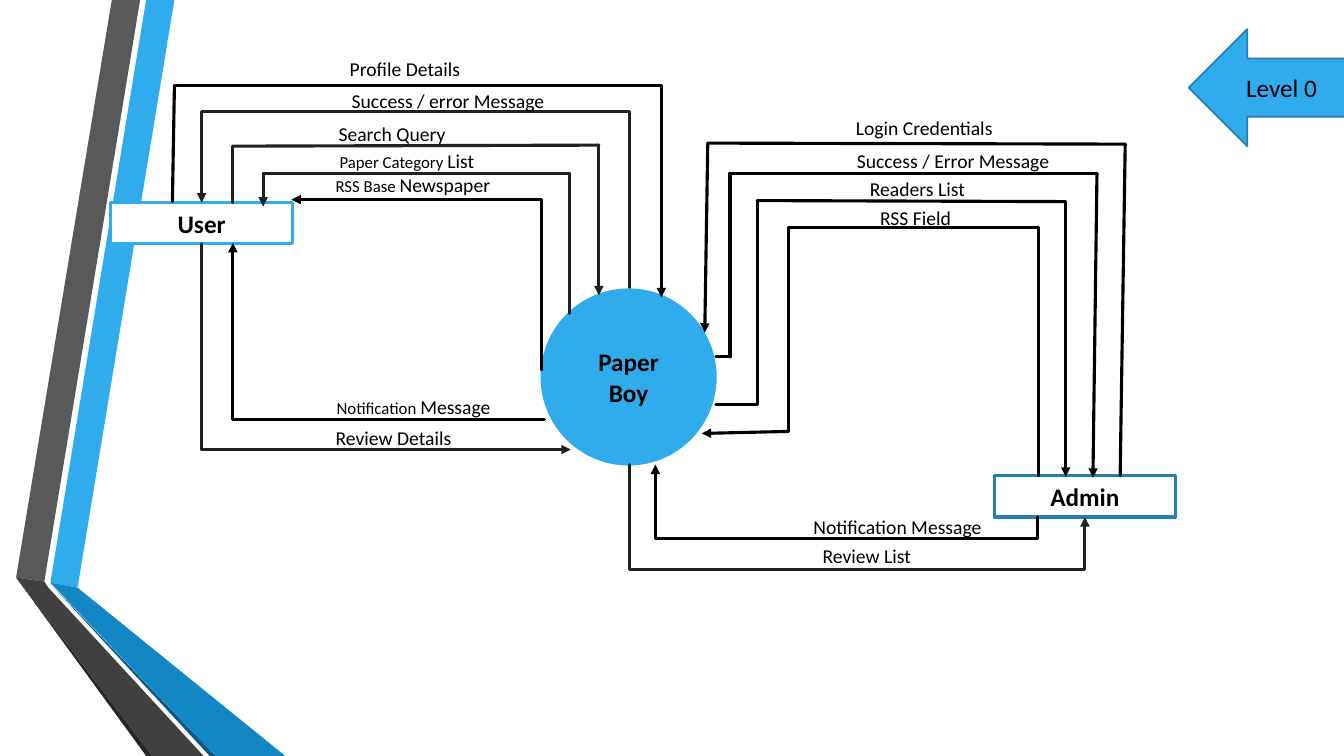
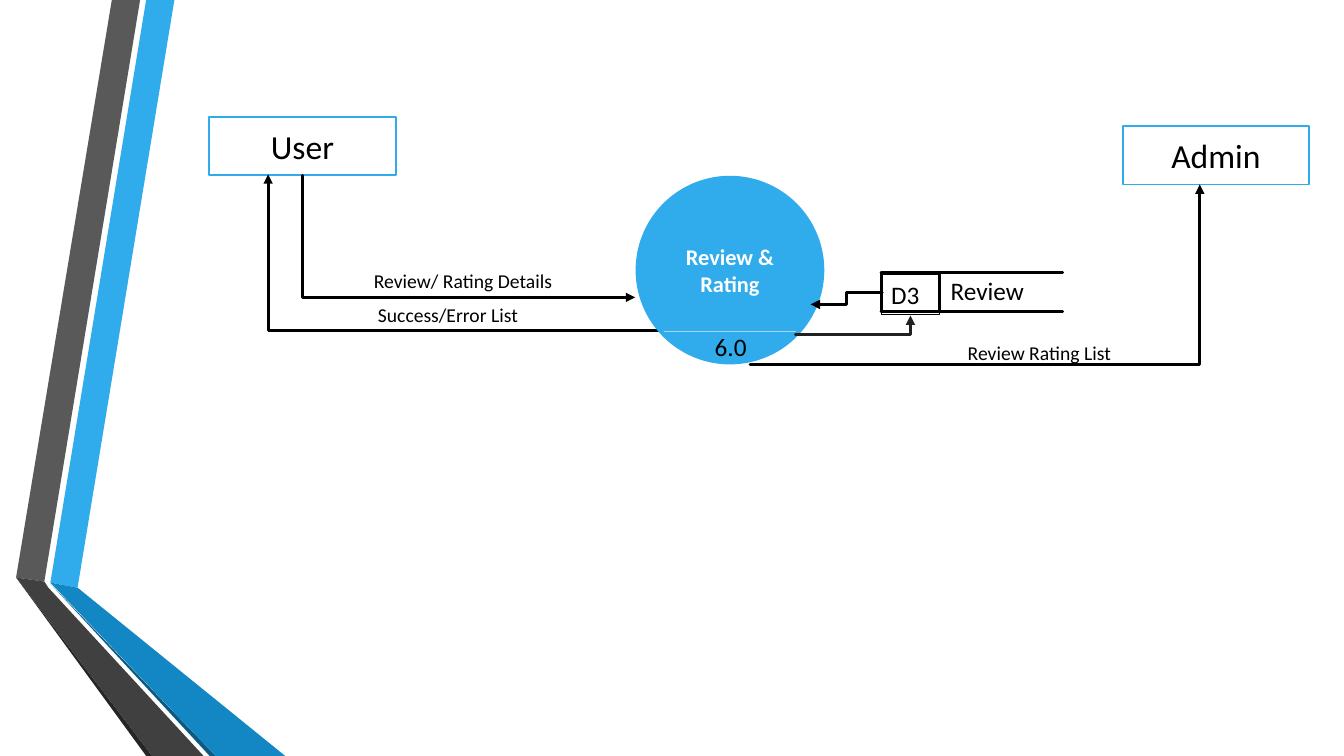
from dataclasses import dataclass
from itertools import pairwise
from typing import Any

from pptx import Presentation
from pptx import util as u
from pptx.dml.color import RGBColor
from pptx.enum import shapes, text
from pptx.oxml.ns import qn
from lxml import etree

FONT = "Calibri"
COLOURS = {
    "sky": "30ACEC", "blue": "1287C3", "navy": "0C5A82", "border": "247FAF",
    "pale": "AED2F4", "grey": "595959", "dark_grey": "404040",
    "shade": "262626", "soft": "212121", "black": "000000", "white": "FFFFFF",
}
# Folded ribbons at the left edge, back to front
RIBBONS = [
    ("sky", [(0.5, 5.78), (0.77, 5.83), (1.73, 0), (1.45, 0)]),
    ("grey", [(1.39, 0), (1.11, 0), (0.16, 5.73), (0.44, 5.77)]),
    ("shade", [(0.16, 5.73), (1.45, 7.5), (1.51, 7.5)]),
    ("navy", [(0.5, 5.79), (2.08, 7.5), (2.14, 7.5)]),
    ("blue", [(0.5, 5.78), (2.14, 7.5), (2.83, 7.5), (0.77, 5.83)]),
    ("dark_grey", [(2.02, 7.5), (0.48, 5.83), (0.44, 5.77), (0.16, 5.73), (1.51, 7.5)]),
]


def colour(name):
    return RGBColor.from_string(COLOURS[name])


def style_line(connector, line_colour, width, arrow):
    """Give a connector its stroke, round ends and optional arrowhead."""
    connector.line.color.rgb = colour(line_colour)
    connector.line.width = u.Pt(width)
    properties = connector._element.spPr
    stroke = properties.find(qn("a:ln"))
    stroke.set("cap", "rnd")
    if arrow:
        etree.SubElement(stroke, qn("a:tailEnd"), type="triangle")
    etree.SubElement(properties, qn("a:effectLst"))


@dataclass
class Region:
    """Part of a slide; every position is relative to its top left corner."""
    slide: Any
    left: float
    top: float

    def place(self, x, y):
        return u.Inches(self.left + x), u.Inches(self.top + y)

    def fill_text(self, frame, runs, font_colour="black", bold=False, align=None):
        paragraph = frame.paragraphs[0]
        paragraph.alignment = align
        for words, size in runs:
            run = paragraph.add_run()
            run.text = words
            run.font.name = FONT
            run.font.size = u.Pt(size)
            run.font.bold = bold
            run.font.color.rgb = colour(font_colour)

    def node(self, kind, box, words="", size=18, fill="white", line="sky",
             line_width=1.25, font_colour="black", bold=False):
        x, y, width, height = box
        shape = self.slide.shapes.add_shape(
            kind, *self.place(x, y), u.Inches(width), u.Inches(height))
        shape.shadow.inherit = False
        if fill:
            shape.fill.solid()
            shape.fill.fore_color.rgb = colour(fill)
        else:
            shape.fill.background()
        shape.line.color.rgb = colour(line)
        shape.line.width = u.Pt(line_width)
        if words:
            shape.text_frame.word_wrap = True
            shape.text_frame.vertical_anchor = text.MSO_ANCHOR.MIDDLE
            self.fill_text(shape.text_frame, [(words, size)], font_colour, bold,
                           text.PP_ALIGN.CENTER)
        return shape

    def label(self, x, y, *runs, width=2.4, height=0.34):
        box = self.slide.shapes.add_textbox(
            *self.place(x, y), u.Inches(width), u.Inches(height))
        box.text_frame.word_wrap = True
        self.fill_text(box.text_frame, runs)
        return box

    def route(self, points, line_colour="black", width=2.25, arrow=True):
        """Straight connectors through the points, arrow on the last one."""
        for start, end in pairwise(points):
            connector = self.slide.shapes.add_connector(
                shapes.MSO_CONNECTOR.STRAIGHT, *self.place(*start), *self.place(*end))
            style_line(connector, line_colour, width, arrow and end == points[-1])

    def elbow(self, start, end, line_colour="black", bend=None, vertical=False):
        """Bent arrow: one corner, or two when bend gives the turning share."""
        connector = self.slide.shapes.add_connector(
            shapes.MSO_CONNECTOR.ELBOW, *self.place(*start), *self.place(*end))
        properties = connector._element.spPr
        geometry = properties.find(qn("a:prstGeom"))
        if bend is None:
            geometry.set("prst", "bentConnector2")
        else:
            guides = geometry.find(qn("a:avLst"))
            if guides is None:
                guides = etree.SubElement(geometry, qn("a:avLst"))
            etree.SubElement(guides, qn("a:gd"), name="adj1",
                             fmla=f"val {round(bend * 100000)}")
        if vertical:
            # A quarter turn makes the first leg run up or down
            across, down = end[0] - start[0], end[1] - start[1]
            middle_x, middle_y = (start[0] + end[0]) / 2, (start[1] + end[1]) / 2
            connector.left, connector.top = self.place(
                middle_x - abs(down) / 2, middle_y - abs(across) / 2)
            connector.width, connector.height = u.Inches(abs(down)), u.Inches(abs(across))
            transform = properties.find(qn("a:xfrm"))
            transform.set("rot", str(270 * 60000))
            transform.set("flipH", str(int(down > 0)))
            transform.set("flipV", str(int(across < 0)))
        style_line(connector, line_colour, 2.25, True)


def add_ribbons(region):
    for fill, points in RIBBONS:
        corners = [region.place(*point) for point in points]
        builder = region.slide.shapes.build_freeform(*corners[0])
        builder.add_line_segments(corners[1:], close=True)
        ribbon = builder.convert_to_shape()
        ribbon.shadow.inherit = False
        ribbon.fill.solid()
        ribbon.fill.fore_color.rgb = colour(fill)
        ribbon.line.fill.background()


def add_flows(region, flows):
    """Each flow has a colour, its corner points, a label place and label runs."""
    for line_colour, points, position, runs in flows:
        region.route(points, line_colour)
        region.label(*position, *runs)


def user_flows(region):
    region.node(shapes.MSO_SHAPE.OVAL, (4.37, 2.37, 1.73, 1.74), "Paper Boy",
                fill="sky", bold=True)
    region.node(shapes.MSO_SHAPE.RECTANGLE, (0.1, 1.51, 1.8, 0.41), "User",
                line_width=2.25, bold=True)
    add_flows(region, [
        ("black", [(0.71, 1.5), (0.73, 0.35), (5.56, 0.35), (5.56, 2.45)],
         (2.37, 0.02), [("Profile Details", 14)]),
        ("soft", [(5.24, 2.35), (5.24, 0.61), (1, 0.61), (1, 1.51)],
         (2.39, 0.33), [("Success / error Message", 14)]),
        ("soft", [(1.31, 1.51), (1.31, 0.95), (4.94, 0.94), (4.94, 2.43)],
         (2.26, 0.66), [("Search Query", 14)]),
        ("soft", [(4.65, 2.61), (4.65, 1.22), (1.61, 1.22), (1.61, 1.55)],
         (2.27, 0.93), [("Paper Category ", 12), ("List", 14)]),
        ("black", [(4.37, 3.17), (4.37, 1.48), (1.89, 1.48)],
         (2.23, 1.17), [("RSS Base ", 12), ("Newspaper", 14)]),
        ("black", [(4.4, 3.66), (1.31, 3.66), (1.31, 1.91)],
         (2.24, 3.37), [("Notification ", 12), ("Message", 14)]),
        ("soft", [(1, 1.92), (1, 3.96), (4.66, 3.96)],
         (2.23, 3.68), [("Review Details", 14)]),
    ])


def admin_flows(region):
    region.node(shapes.MSO_SHAPE.RECTANGLE, (3.86, 3.72, 1.8, 0.41), "Admin",
                line="border", line_width=2.25, bold=True)
    add_flows(region, [
        ("black", [(5.11, 3.72), (5.16, 0.43), (1.02, 0.42), (0.99, 2.3)],
         (2.39, 0.1), [("Login Credentials", 14)]),
        ("black", [(1.1, 2.54), (1.24, 2.54), (1.24, 0.72), (4.88, 0.72), (4.84, 3.74)],
         (2.4, 0.43), [("Success / Error Message", 14)]),
        ("black", [(1.1, 3.01), (1.51, 3.01), (1.51, 0.99), (4.57, 1), (4.57, 3.73)],
         (2.53, 0.71), [("Readers List", 14)]),
        ("black", [(4.3, 3.72), (4.3, 1.26), (1.82, 1.26), (1.82, 3.28), (0.96, 3.3)],
         (2.63, 0.99), [("RSS Field", 14)]),
        ("black", [(4.29, 4.13), (4.29, 4.34), (0.5, 4.34), (0.5, 3.61)],
         (1.97, 4.06), [("Notification Message", 14)]),
    ])
    region.elbow((0.24, 3.61), (4.76, 4.13), "soft", bend=2, vertical=True)
    region.label(2.06, 4.35, ("Review List", 14))


def level_tag(region):
    region.node(shapes.MSO_SHAPE.LEFT_ARROW, (0, 0, 1.55, 1.16), "Level 0",
                fill="sky", line="border")


def review_store(region):
    for y in (0, 0.39):
        region.route([(0, y), (1.8, y)], arrow=False)
    region.node(shapes.MSO_SHAPE.RECTANGLE, (0, 0, 0.58, 0.39), fill=None,
                line="black", line_width=2.25)
    key = region.label(0, 0.02, ("D3", 18), width=0.58, height=0.4)
    key.line.color.rgb = colour("black")
    key.line.width = u.Pt(0.75)
    region.label(0.59, -0.02, ("Review", 18), width=1.35, height=0.4)


def review_process(region):
    # Outside parties
    for words, box in (("User", (0.07, 0.16, 1.86, 0.58)),
                       ("Admin", (9.14, 0.25, 1.84, 0.58))):
        region.node(shapes.MSO_SHAPE.RECTANGLE, box, words, size=24)
    # Flows with the user, partly behind the process
    region.elbow((1, 0.74), (4.3, 1.95), vertical=True)
    region.elbow((4.82, 2.28), (0.66, 0.73))
    # Process
    region.node(shapes.MSO_SHAPE.OVAL, (4.32, 0.76, 1.84, 1.84), "Review & Rating",
                size=16, fill="sky", line_width=2.25, font_colour="white", bold=True)
    region.route([(4.59, 2.29), (5.89, 2.29)], "pale", 0.75, arrow=False)
    region.label(4.99, 2.24, ("6.0", 18), width=0.6, height=0.4)
    # Flows with the admin and the store
    region.elbow((5.44, 2.62), (9.9, 0.83))
    review_store(Region(region.slide, region.left + 6.74, region.top + 1.7))
    region.elbow((6.75, 1.9), (6.04, 2.02), bend=0.5)
    region.elbow((5.89, 2.32), (7.03, 2.13), "soft")
    for x, y, words in ((1.61, 1.62, "Review/ Rating Details"),
                        (1.65, 1.96, "Success/Error List"),
                        (7.5, 2.33, "Review Rating List")):
        region.label(x, y, (words, 14))


def main():
    presentation = Presentation()
    presentation.slide_width = u.Inches(13.33)
    presentation.slide_height = u.Inches(7.5)
    slide_regions = [
        [(user_flows, 1, 0.5), (admin_flows, 6, 1), (level_tag, 11.79, 0.29)],
        [(review_process, 2, 1)],
    ]
    for regions in slide_regions:
        slide = presentation.slides.add_slide(presentation.slide_layouts[6])
        add_ribbons(Region(slide, 0, 0))
        for draw, left, top in regions:
            draw(Region(slide, left, top))
    presentation.save("out.pptx")


if __name__ == "__main__":
    main()
